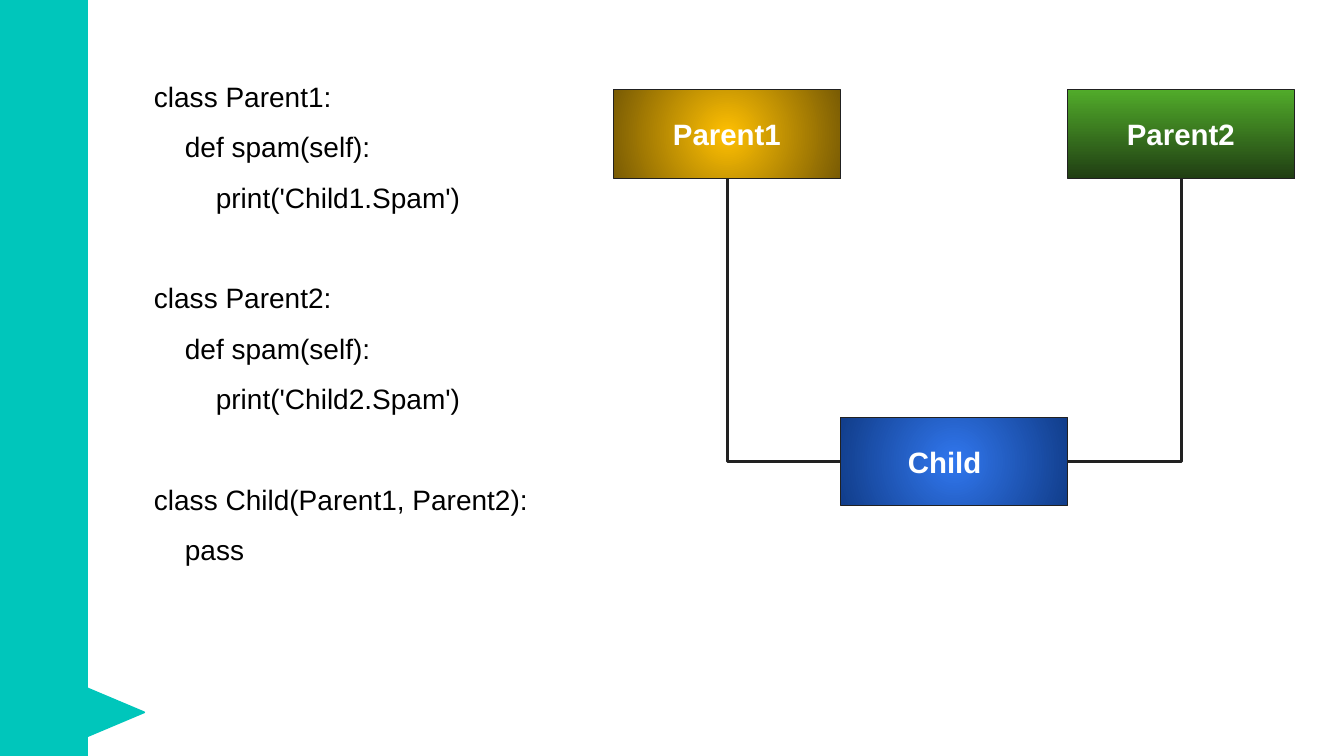
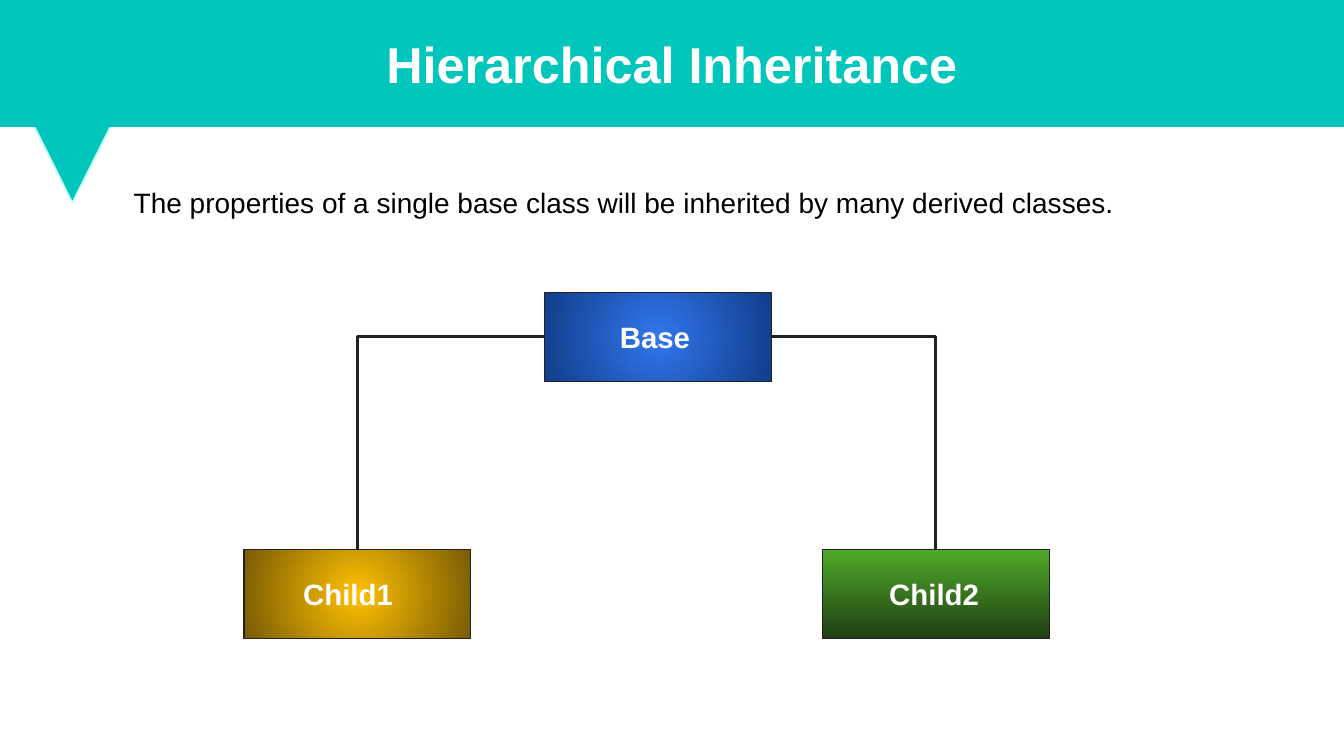
from lxml import etree
from pptx import Presentation
from pptx.dml.color import RGBColor
from pptx.enum.shapes import MSO_CONNECTOR, MSO_SHAPE
from pptx.enum.text import MSO_ANCHOR, PP_ALIGN
from pptx.oxml.ns import qn
from pptx.util import Cm, Pt

RECTANGLE = MSO_SHAPE.RECTANGLE
TRIANGLE = MSO_SHAPE.ISOSCELES_TRIANGLE
ELBOW = MSO_CONNECTOR.ELBOW
MIDDLE = MSO_ANCHOR.MIDDLE
LEFT, CENTER = PP_ALIGN.LEFT, PP_ALIGN.CENTER

SLIDE_W, SLIDE_H = 33.87, 19.05
FONT = "Arial"
COLORS = {
    "teal": "00C6BB",
    "pale_teal": "C0FEFB",
    "white": "FFFFFF",
    "black": "000000",
    "outline": "212121",
}
GRADIENTS = {
    "gold": ("FFC002", "795B04", True),
    "green": ("51AB2A", "203E13", False),
    "blue": ("3177EE", "113D8A", True),
}
CLASS_W, CLASS_H = 5.72, 2.24
INSET = 0.25
CODE_INDENT = 0.78
SITE_TOP, SITE_LEFT, SITE_BOTTOM, SITE_RIGHT = range(4)

PARENT_CODE = [
    (0, "class Parent1:"),
    (1, "def spam(self):"),
    (2, "print('Child1.Spam')"),
    (0, "class Parent2:"),
    (1, "def spam(self):"),
    (2, "print('Child2.Spam')"),
    (0, "class Child(Parent1, Parent2):"),
    (1, "pass"),
]


def rgb(name):
    return RGBColor.from_string(COLORS[name])


def style_text(paragraph, text, size, color, bold=False, align=LEFT):
    paragraph.text = text
    paragraph.alignment = align
    font = paragraph.font
    font.name, font.size, font.bold = FONT, Pt(size), bold
    font.color.rgb = rgb(color)


def add_block(slide, kind, box, line, line_width):
    block = slide.shapes.add_shape(kind, *map(Cm, box))
    block.shadow.inherit = False
    block.line.color.rgb = rgb(line)
    block.line.width = Pt(line_width)
    return block


def add_band(slide, band_box, pointer_box, rotation, pointer_line):
    pointer = add_block(slide, TRIANGLE, pointer_box, pointer_line, 1.25)
    pointer.rotation = rotation
    band = add_block(slide, RECTANGLE, band_box, "teal", 1.25)
    for part in (pointer, band):
        part.fill.solid()
        part.fill.fore_color.rgb = rgb("teal")
    return band


def add_side_band(slide):
    add_band(slide, (0, 0, 2.21, SLIDE_H), (1.22, 16.64, 2.21, 2.62), 90, "teal")


def add_title_band(slide, title):
    band = add_band(slide, (0, 0, SLIDE_W, 3.18), (0.25, 1.96, 3.15, 3.15),
                    180, "pale_teal")
    band.text_frame.vertical_anchor = MIDDLE
    style_text(band.text_frame.paragraphs[0], title, 36, "white", True, CENTER)


def add_body(slide, box):
    frame = slide.shapes.add_textbox(*map(Cm, box)).text_frame
    frame.word_wrap = True
    return frame


def add_code(slide, box, code):
    frame = add_body(slide, box)
    for number, (depth, text) in enumerate(code):
        line = frame.add_paragraph() if number else frame.paragraphs[0]
        style_text(line, text, 20, "black")
        line.line_spacing = 1.5
        if depth:
            line._p.get_or_add_pPr().set("marL", str(Cm(CODE_INDENT * depth)))
        elif number:
            line.space_before = Pt(36)


def fill_gradient(block, gradient):
    inner, outer, radial = GRADIENTS[gradient]
    block.fill.gradient()
    for stop, color in zip(block.fill.gradient_stops, (inner, outer)):
        stop.color.rgb = RGBColor.from_string(color)
    if not radial:
        block.fill.gradient_angle = 270
        return
    grad = block.element.spPr.find(qn("a:gradFill"))
    grad.remove(grad.find(qn("a:lin")))
    circle = etree.SubElement(grad, qn("a:path"), path="circle")
    etree.SubElement(circle, qn("a:fillToRect"),
                     l="50000", t="50000", r="50000", b="50000")


def add_class(slide, left, top, name, gradient, indent):
    block = add_block(slide, RECTANGLE, (left, top, CLASS_W, CLASS_H),
                      "outline", 0.75)
    fill_gradient(block, gradient)
    frame = block.text_frame
    frame.vertical_anchor = MIDDLE
    frame.margin_left = Cm(INSET + indent)
    frame.margin_right = frame.margin_top = frame.margin_bottom = Cm(INSET)
    style_text(frame.paragraphs[0], name, 21, "white", True)
    return block


def add_elbow(slide, hub, hub_site, branch, branch_site):
    elbow = slide.shapes.add_connector(ELBOW, 0, 0, 0, 0)
    elbow.begin_connect(hub, hub_site)
    elbow.end_connect(branch, branch_site)
    elbow.line.color.rgb = rgb("outline")
    elbow.line.width = Pt(2.25)
    properties = elbow.element.spPr
    properties.find(qn("a:prstGeom")).set("prst", "bentConnector2")
    etree.SubElement(properties, qn("a:effectLst"))


def add_class_tree(slide, left, top, branches, hub, branch_site):
    left_branch, right_branch, hub_class = [
        add_class(slide, left + dx, top + dy, *label)
        for dx, dy, *label in (*branches, hub)
    ]
    add_elbow(slide, hub_class, SITE_LEFT, left_branch, branch_site)
    add_elbow(slide, hub_class, SITE_RIGHT, right_branch, branch_site)


def build_multiple_inheritance(slide):
    add_side_band(slide)
    add_code(slide, (3.63, 1.45, 11.15, 16.15), PARENT_CODE)
    add_class_tree(
        slide, 15.47, 2.26,
        [(0, 0, "Parent1", "gold", 1.24),
         (2 * CLASS_W, 0, "Parent2", "green", 1.24)],
        (CLASS_W, 8.25, "Child", "blue", 1.44),
        SITE_BOTTOM)


def build_hierarchical_inheritance(slide):
    add_title_band(slide, "Hierarchical Inheritance")
    frame = add_body(slide, (3.12, 4.55, 28.6, 13.28))
    style_text(frame.paragraphs[0],
               "The properties of a single base class will be inherited "
               "by many derived classes.", 20, "black")
    add_class_tree(
        slide, 6.15, 7.37,
        [(0, 6.47, "Child1", "gold", 1.24),
         (14.57, 6.47, "Child2", "green", 1.44)],
        (7.57, 0, "Base", "blue", 1.65),
        SITE_TOP)


def main():
    deck = Presentation()
    deck.slide_width, deck.slide_height = Cm(SLIDE_W), Cm(SLIDE_H)
    blank = deck.slide_layouts[6]
    for build in (build_multiple_inheritance, build_hierarchical_inheritance):
        build(deck.slides.add_slide(blank))
    deck.save("out.pptx")


if __name__ == "__main__":
    main()
